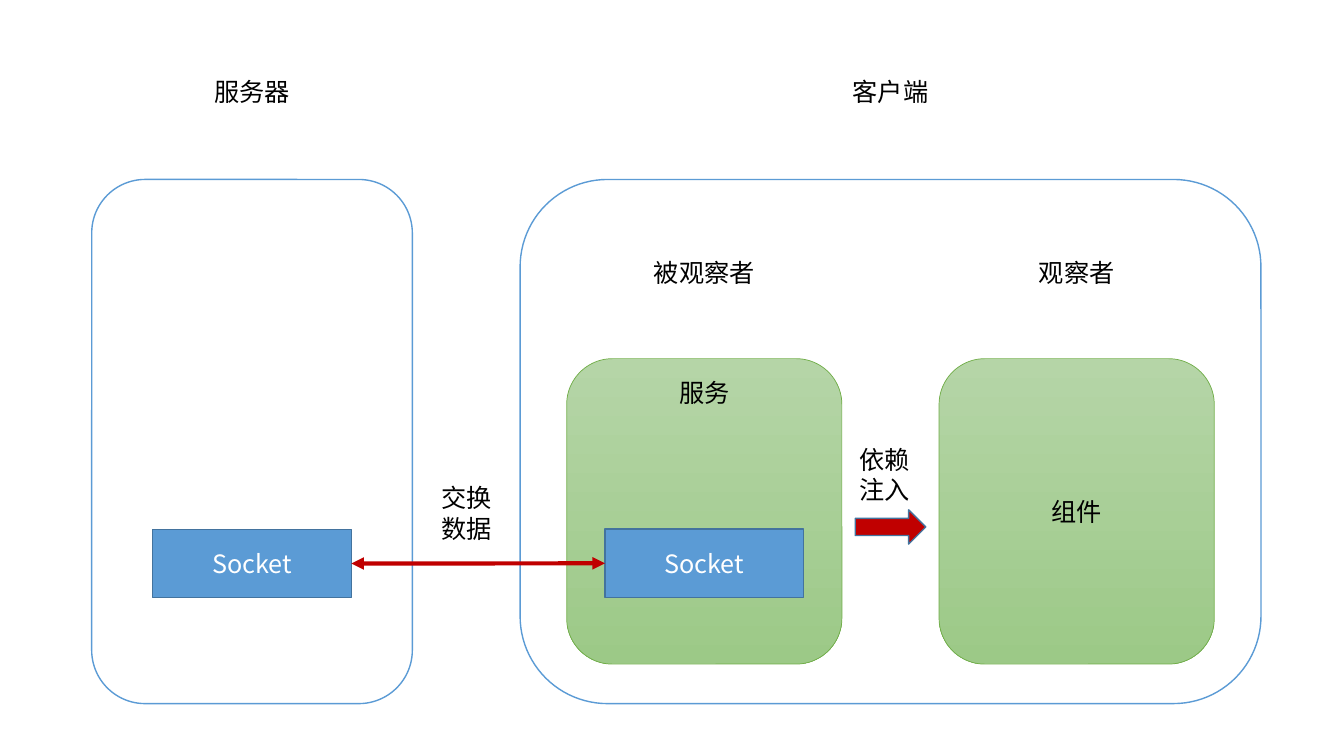
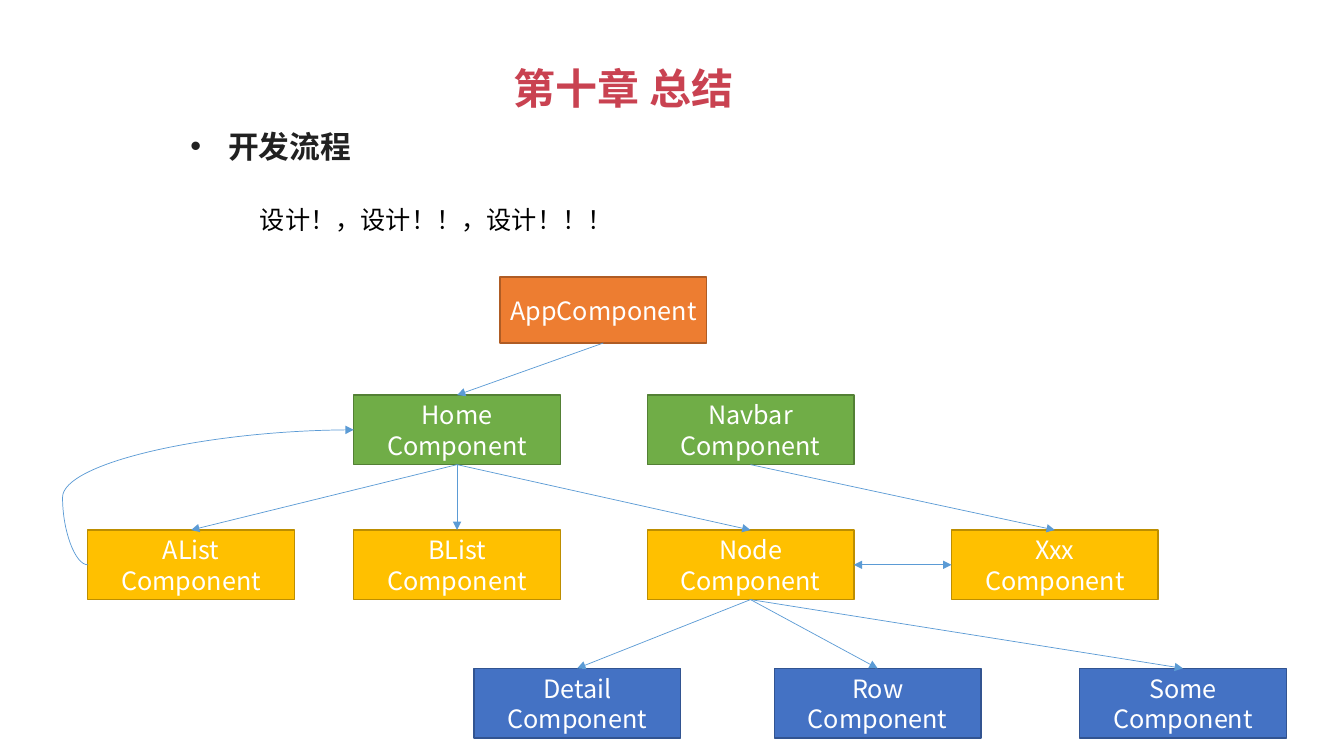
from collections import namedtuple

from lxml.etree import SubElement
from pptx import Presentation
from pptx.dml.color import RGBColor
from pptx.enum.shapes import MSO_CONNECTOR, MSO_SHAPE
from pptx.enum.text import MSO_ANCHOR, MSO_AUTO_SIZE, PP_ALIGN
from pptx.oxml.ns import qn
from pptx.util import Pt

FONT = "Noto Sans CJK SC"
BLACK, WHITE = "000000", "FFFFFF"
BLUE, DARK_BLUE, GREEN, RED = "5B9BD5", "43739E", "70AD47", "C00000"
TITLE_COLOR, HEADING_COLOR = "C94251", "212121"
GREEN_TOP, GREEN_BOTTOM = "B5D5A7", "9CC987"
TOP, LEFT, BOTTOM, RIGHT = range(4)  # connection sites of a rectangle
LABEL_HEIGHT = 28.8


class Box(namedtuple("Box", "left top width height")):
    """A rectangle in points."""

    @property
    def center(self):
        return self.left + self.width / 2

    @property
    def right(self):
        return self.left + self.width

    @property
    def bottom(self):
        return self.top + self.height

    def inner(self, left, top, width, height):
        return Box(self.left + left, self.top + top, width, height)

    def points(self):
        return [Pt(value) for value in self]


# Shared building blocks
def color(value):
    return RGBColor.from_string(value)


def write(frame, text, size=18, ink=BLACK, bold=False, align=PP_ALIGN.LEFT,
          anchor=MSO_ANCHOR.TOP):
    frame.text = text
    frame.vertical_anchor = anchor
    for para in frame.paragraphs:
        para.alignment = align
        para.space_before = Pt(0)
        font = para.font
        font.size, font.bold, font.name = Pt(size), bold, FONT
        font.color.rgb = color(ink)
        defaults = para._p.pPr.find(qn("a:defRPr"))
        SubElement(defaults, qn("a:ea"), typeface=FONT)


def add_label(page, box, text, align=PP_ALIGN.CENTER):
    frame = page.shapes.add_textbox(*box.points()).text_frame
    frame.word_wrap = False
    frame.auto_size = MSO_AUTO_SIZE.SHAPE_TO_FIT_TEXT
    write(frame, text, align=align)


def add_caption(page, box, text, rise):
    """Label centred above a box."""
    add_label(page, box.inner(0, -rise, box.width, LABEL_HEIGHT), text)


def add_block(page, kind, box, fill, line, weight=1, text="", ink=WHITE,
              anchor=MSO_ANCHOR.MIDDLE):
    shape = page.shapes.add_shape(kind, *box.points())
    shape.shadow.inherit = False
    if isinstance(fill, tuple):
        shape.fill.gradient()
        shape.fill.gradient_angle = 270
        for stop, stop_color in zip(shape.fill.gradient_stops, fill):
            stop.color.rgb = color(stop_color)
    else:
        shape.fill.solid()
        shape.fill.fore_color.rgb = color(fill)
    shape.line.color.rgb = color(line)
    shape.line.width = Pt(weight)
    if text:
        frame = shape.text_frame
        frame.word_wrap = True
        frame.margin_left = frame.margin_right = Pt(3.6)
        write(frame, text, ink=ink, align=PP_ALIGN.CENTER, anchor=anchor)
    return shape


def link(page, start, start_site, end, end_site, line=BLUE, weight=0.5,
         both_ends=False, bend=None):
    kind = MSO_CONNECTOR.STRAIGHT if bend is None else MSO_CONNECTOR.CURVE
    connector = page.shapes.add_connector(kind, 0, 0, 0, 0)
    connector.begin_connect(start, start_site)
    connector.end_connect(end, end_site)
    connector.line.color.rgb = color(line)
    connector.line.width = Pt(weight)
    properties = connector._element.spPr
    outline = properties.find(qn("a:ln"))
    for name in ("a:headEnd", "a:tailEnd") if both_ends else ("a:tailEnd",):
        SubElement(outline, qn(name), type="triangle")
    SubElement(properties, qn("a:effectLst"))
    if bend is not None:
        adjustments = properties.find(qn("a:prstGeom")).find(qn("a:avLst"))
        SubElement(adjustments, qn("a:gd"), name="adj1", fmla=f"val {bend}")


# Slide 1: server and client
def add_frame(page, box, caption):
    add_block(page, MSO_SHAPE.ROUNDED_RECTANGLE, box, WHITE, BLUE)
    add_caption(page, box, caption, 77)


def add_panel(page, box, text, caption, anchor):
    add_block(page, MSO_SHAPE.ROUNDED_RECTANGLE, box, (GREEN_TOP, GREEN_BOTTOM),
              GREEN, 0.5, text, BLACK, anchor)
    add_caption(page, box, caption, 75.6)


def add_socket(page, box, gap_below):
    width, height = 142, 49
    place = box.inner((box.width - width) / 2, box.height - gap_below - height,
                      width, height)
    return add_block(page, MSO_SHAPE.RECTANGLE, place, BLUE, DARK_BLUE,
                     text="Socket")


def add_server(page, box):
    add_frame(page, box, "服务器")
    return add_socket(page, box, 75.6)


def add_client(page, box):
    add_frame(page, box, "客户端")
    margin, width, height = 33.3, 196.6, 218.2
    service = box.inner(margin, 128, width, height)
    component = box.inner(box.width - margin - width, 128, width, height)
    add_panel(page, service, "服务", "被观察者", MSO_ANCHOR.TOP)
    add_panel(page, component, "组件", "观察者", MSO_ANCHOR.MIDDLE)
    # Injection arrow in the gap between the panels
    middle = (service.right + component.left) / 2
    add_block(page, MSO_SHAPE.RIGHT_ARROW,
              Box(middle - 25.2, service.top + 108, 50.4, 24.5), RED, DARK_BLUE)
    add_label(page, Box(middle - 29.5, service.top + 57.6, 51, 51), "依赖\n注入")
    return add_socket(page, service, 47.5)


def build_socket_page(deck):
    page = deck.slides.add_slide(deck.slide_layouts[6])
    server = Box(65.5, 128.2, 229, 374.4)
    client = Box(371.5, 128.2, 529.2, 374.4)
    server_socket = add_server(page, server)
    client_socket = add_client(page, client)
    link(page, server_socket, RIGHT, client_socket, LEFT, RED, 3, both_ends=True)
    middle = (server.right + client.left) / 2
    add_label(page, Box(middle - 25.5, 341.3, 51, 51), "交换\n数据")


# Slide 2: component tree
def fill_placeholder(shape, box, text, size, ink, anchor):
    shape.left, shape.top, shape.width, shape.height = box.points()
    frame = shape.text_frame
    frame.auto_size = MSO_AUTO_SIZE.NONE
    frame.text = text
    properties = frame.paragraphs[0]._p.get_or_add_pPr()
    properties.set("marL", "0")
    properties.set("indent", "0")
    SubElement(properties, qn("a:buNone"))
    write(frame, text, size, ink, True, anchor=anchor)
    return frame


def add_heading(page, box):
    title = fill_placeholder(page.shapes.title, box.inner(236, 0, 175, 44),
                             "第十章 总结", 30, TITLE_COLOR, MSO_ANCHOR.TOP)
    title.word_wrap = False
    fill_placeholder(page.placeholders[1], box.inner(5, 43.2, box.width, 40.3),
                     "开发流程", 22, HEADING_COLOR, MSO_ANCHOR.MIDDLE)
    add_label(page, box.inner(54.8, 101.6, 269.3, LABEL_HEIGHT),
              "设计！，设计！！，设计！！！", PP_ALIGN.LEFT)


def add_tree(page, box):
    # Each level: top, height, fill, line, left edge of every node
    levels = [
        (0, 47, "ED7D31", "AF5C24", {"App": 294.5}),
        (84.2, 49.7, GREEN, "538035", {"Home": 190, "Navbar": 399.6}),
        (180.6, 49.7, "FFC000", "BD8E00",
         {"AList": 0, "BList": 190, "Node": 399.6, "Xxx": 617}),
        (279.4, 49.7, "4472C4", "325491",
         {"Detail": 275.8, "Row": 490.4, "Some": 708.5}),
    ]
    nodes = {}
    for top, height, fill, line, lefts in levels:
        for name, left in lefts.items():
            gap = "" if name == "App" else "\n"
            nodes[name] = add_block(
                page, MSO_SHAPE.RECTANGLE, box.inner(left, top, 147.6, height),
                fill, line, text=f"{name}{gap}Component")

    # Parents to children
    children = {"App": ["Home"], "Home": ["AList", "BList", "Node"],
                "Navbar": ["Xxx"], "Node": ["Detail", "Row", "Some"]}
    for parent, names in children.items():
        for name in names:
            link(page, nodes[parent], BOTTOM, nodes[name], TOP)
    # Links between siblings and back to the parent
    link(page, nodes["AList"], LEFT, nodes["Home"], LEFT, bend=-9500)
    link(page, nodes["Node"], RIGHT, nodes["Xxx"], LEFT, both_ends=True)


def build_summary_page(deck):
    page = deck.slides.add_slide(deck.slide_layouts[1])
    add_heading(page, Box(123.8, 41, 648, 130))
    add_tree(page, Box(62.7, 198, 856, 329))


def main():
    deck = Presentation()
    deck.slide_width, deck.slide_height = Pt(960), Pt(540)
    build_socket_page(deck)
    build_summary_page(deck)
    deck.save("out.pptx")


if __name__ == "__main__":
    main()
